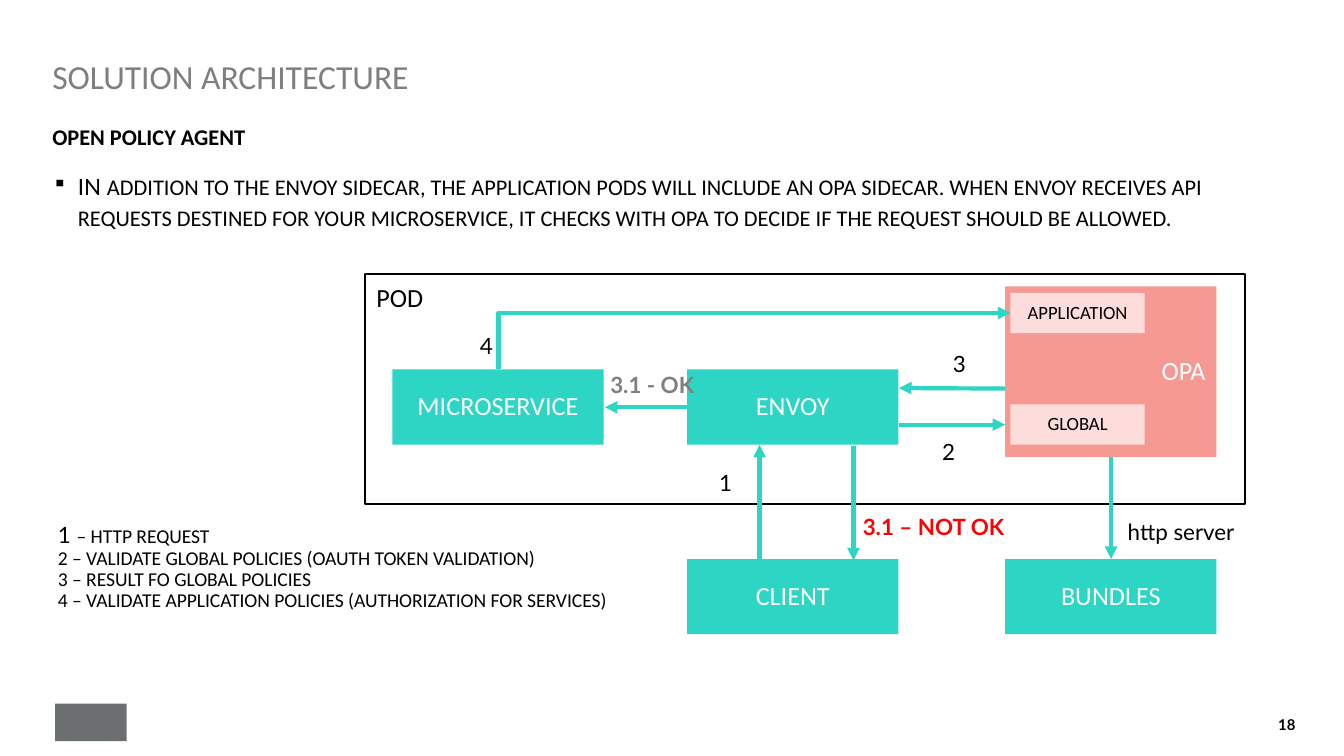
from lxml import etree
from pptx import Presentation
from pptx.dml.color import RGBColor
from pptx.enum.shapes import MSO_CONNECTOR as Link, MSO_SHAPE as Preset
from pptx.enum.text import MSO_ANCHOR as Anchor, MSO_AUTO_SIZE as Fit, PP_ALIGN as Align
from pptx.oxml.ns import qn
from pptx.util import Pt

COLORS = {
    "black": "000000", "white": "FFFFFF", "gray": "7F7F7F", "mark": "6C6F70",
    "teal": "2CD5C4", "coral": "F69992", "blush": "FCDDDB", "red": "FF0000",
}
INSET = 5.8


def color(name):
    return RGBColor.from_string(COLORS[name])


def set_frame(frame, inset=0, anchor=Anchor.TOP, wrap=True):
    frame.auto_size = Fit.NONE
    frame.word_wrap = wrap
    frame.vertical_anchor = anchor
    frame.margin_left = frame.margin_right = Pt(inset)
    frame.margin_top = frame.margin_bottom = Pt(inset)
    return frame


def add_span(para, text, size, font="Calibri", ink="black", bold=False):
    span = para.add_run()
    span.text = text
    span.font.size = Pt(size)
    span.font.name = font
    span.font.bold = bold
    span.font.color.rgb = color(ink)


def add_text(page, box, inset=0, anchor=Anchor.TOP, wrap=True):
    shape = page.shapes.add_textbox(*map(Pt, box))
    return set_frame(shape.text_frame, inset, anchor, wrap)


def add_box(page, box, fill, text="", size=14, ink="white", align=Align.CENTER,
            anchor=Anchor.MIDDLE, outline=None):
    shape = page.shapes.add_shape(Preset.RECTANGLE, *map(Pt, box))
    shape.shadow.inherit = False
    shape.fill.solid()
    shape.fill.fore_color.rgb = color(fill)
    if outline:
        shape.line.color.rgb = color(outline)
        shape.line.width = Pt(1)
    else:
        shape.line.fill.background()
    if text:
        para = set_frame(shape.text_frame, INSET, anchor).paragraphs[0]
        para.alignment = align
        para.line_spacing = 0.9
        add_span(para, text, size, ink=ink)


def add_arrow(page, start, end, kind=Link.STRAIGHT):
    arrow = page.shapes.add_connector(kind, *map(Pt, start + end))
    arrow.line.color.rgb = color("teal")
    arrow.line.width = Pt(2.25)
    etree.SubElement(arrow.line._get_or_add_ln(), qn("a:tailEnd"), type="triangle")
    etree.SubElement(arrow._element.spPr, qn("a:effectLst"))
    return arrow


def add_corner_arrow(page, start, end):
    """Runs up from start, then right to end: a one-bend elbow turned by 90 degrees."""
    mid_x, mid_y = (start[0] + end[0]) / 2, (start[1] + end[1]) / 2
    half_run, half_rise = (end[0] - start[0]) / 2, (start[1] - end[1]) / 2
    arrow = add_arrow(page, (mid_x + half_rise, mid_y + half_run),
                      (mid_x - half_rise, mid_y - half_run), Link.ELBOW)
    properties = arrow._element.spPr
    properties.find(qn("a:xfrm")).set("rot", "5400000")
    properties.find(qn("a:prstGeom")).set("prst", "bentConnector2")


def write_title(page, box):
    title = page.shapes.title
    title.left, title.top, title.width, title.height = map(Pt, box)
    para = set_frame(title.text_frame).paragraphs[0]
    para.alignment = Align.LEFT
    para.line_spacing = 0.8
    add_span(para, "SOLUTION ARCHITECTURE", 18, ink="gray")


def write_intro(page, box):
    frame = add_text(page, box)
    frame.margin_right = Pt(11.5)
    heading, bullet = frame.paragraphs[0], frame.add_paragraph()
    for para in (heading, bullet):
        para.line_spacing = Pt(16.9)
        para.space_after = Pt(9.9)
    add_span(heading, "OPEN POLICY AGENT", 12, bold=True)

    properties = bullet._p.get_or_add_pPr()
    properties.set("marL", str(Pt(13.7)))
    properties.set("indent", str(-Pt(13.7)))
    etree.SubElement(properties, qn("a:buSzPct"), val="90000")
    etree.SubElement(properties, qn("a:buChar"), char="▪")
    add_span(bullet, "IN ", 12, "Lato")
    add_span(bullet, "ADDITION TO THE ENVOY SIDECAR, THE APPLICATION PODS WILL INCLUDE "
             "AN OPA SIDECAR. WHEN ENVOY RECEIVES API REQUESTS DESTINED FOR YOUR "
             "MICROSERVICE, IT CHECKS WITH OPA TO DECIDE IF THE REQUEST SHOULD BE "
             "ALLOWED.", 12)


def write_legend(page, box):
    frame = add_text(page, box, INSET, wrap=False)
    first = frame.paragraphs[0]
    first.line_spacing = 0.9
    add_span(first, "1 ", 12, "Lato")
    add_span(first, "– HTTP REQUEST", 10.5)
    for text in ("2 – VALIDATE GLOBAL POLICIES (OAUTH TOKEN VALIDATION)",
                 "3 – RESULT FO GLOBAL POLICIES",
                 "4 – VALIDATE APPLICATION POLICIES (AUTHORIZATION FOR SERVICES)"):
        para = frame.add_paragraph()
        para.line_spacing = 0.9
        add_span(para, text, 10.5)


def draw_diagram(page, box):
    left, top, width, height = box

    def at(x, y):
        return left + x, top + y

    # Pod and its nodes
    add_box(page, box, "white", "POD", ink="black", align=Align.LEFT,
            anchor=Anchor.TOP, outline="black")
    node = (113.2, 40.3)
    columns, rows = (14.4, 172.3, 342.7), (51, 152.6)
    for text, column, row in (("MICROSERVICE", 0, 0), ("ENVOY", 1, 0),
                              ("CLIENT", 1, 1), ("BUNDLES", 2, 1)):
        add_box(page, at(columns[column], rows[row]) + node, "teal", text)

    # Policy agent with its two policy sets
    add_box(page, at(columns[2], 6.5) + (node[0], 91.4), "coral", "OPA", align=Align.RIGHT)
    for text, y in (("APPLICATION", 10), ("GLOBAL", 69.8)):
        add_box(page, at(345.5, y) + (72, 21.6), "blush", text, 10, "black")

    # Arrows
    for start, end in (((261.4, 92.2), (261.4, 153.4)),
                       ((172.3, 71.3), (128.2, 71.3)),
                       ((285.8, 80.6), (342.7, 80.6)),
                       ((342.7, 61.3), (285.8, 61)),
                       ((399.4, 97.9), (399.4, 152.6)),
                       ((211.1, 153.4), (211.1, 91.4))):
        add_arrow(page, at(*start), at(*end))
    add_corner_arrow(page, at(71.2, 51), at(345.5, 20.8))

    # Step labels
    for text, x, y, label_width, ink in (
            ("1", 183.6, 100.1, 26, "black"), ("3.1 - OK", 125.3, 47.5, 57, "gray"),
            ("4", 55.4, 26.6, 26, "black"), ("3", 308.9, 36.7, 26, "black"),
            ("2", 303.1, 83.5, 26, "black"), ("3.1 – NOT OK", 260.6, 123.8, 88, "red"),
            ("http server", 402.5, 126.7, 70, "black")):
        frame = add_text(page, at(x, y) + (label_width, 26.6), INSET, wrap=False)
        para = frame.paragraphs[0]
        para.line_spacing = 0.9
        add_span(para, text, 12, "Lato", ink, bold=ink != "black")


def draw_footer(page, box):
    left, top, width, height = box
    # Plain block in place of the company mark
    add_box(page, (left + 29.5, top + 5.9, 38.4, 20.2), "mark")
    # Page number
    frame = add_text(page, (left + width - 35.3, top, 35.3, height),
                     anchor=Anchor.MIDDLE, wrap=False)
    add_span(frame.paragraphs[0], "18", 8, "Lato", bold=True)


def main():
    deck = Presentation()
    deck.slide_width, deck.slide_height = Pt(720), Pt(405)
    page = deck.slides.add_slide(deck.slide_layouts[5])
    write_title(page, (28, 34, 663, 34.5))
    write_intro(page, (28, 63.3, 661, 123))
    write_legend(page, (25.2, 275, 306, 62))
    draw_diagram(page, (195.8, 146.9, 471, 123))
    draw_footer(page, (0, 371, 720, 34))
    deck.save("out.pptx")


if __name__ == "__main__":
    main()
